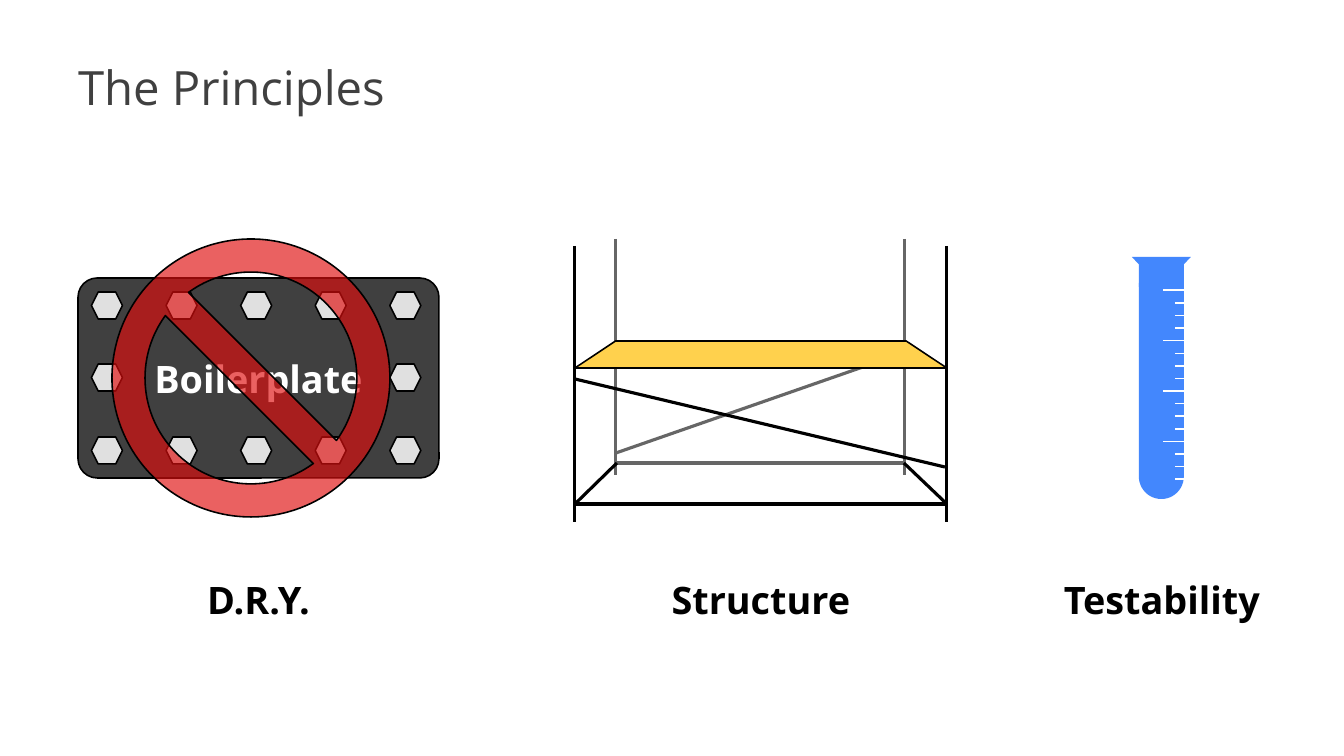
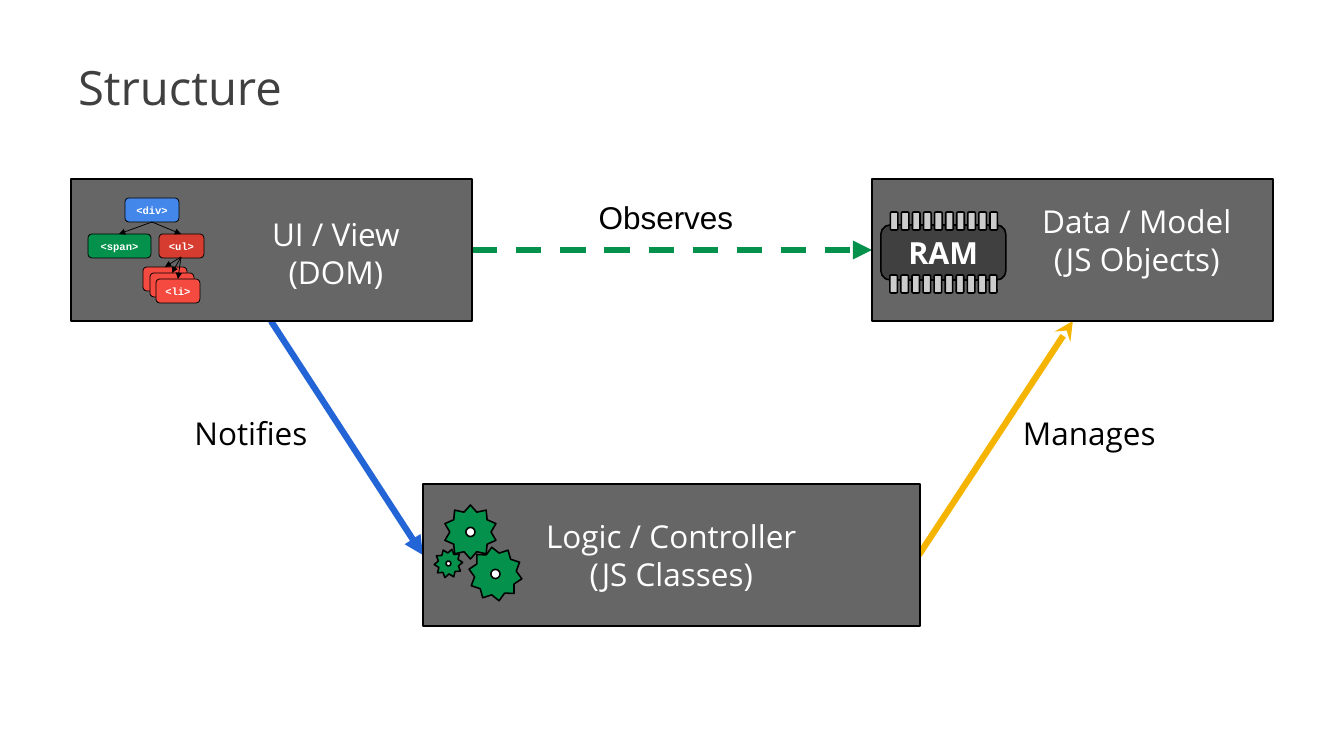
from pptx import Presentation
from pptx.dml.color import RGBColor
from pptx.enum.dml import MSO_LINE
from pptx.enum.shapes import MSO_CONNECTOR, MSO_SHAPE
from pptx.enum.text import MSO_ANCHOR, PP_ALIGN
from pptx.oxml.ns import qn
from pptx.util import Emu, Inches, Pt
from lxml.etree import SubElement

# Shared look
PX = 914400 / 75.6
SANS, MONO, PLAIN = "Open Sans", "Courier New", "Arial"
BLACK, WHITE, DARK, GRAY = "000000", "FFFFFF", "404040", "666666"
BOLT, PIN, BLUE, GREEN = "E0E0E0", "CCCCCC", "4387FD", "03914B"
RED, ORANGE, PLANK = "F44A3F", "F4B400", "FFD14D"
TITLE_BOX = (78, 14, 1186, 102)

# Slide 1 content: boxes are left, top, width, height
CAPTIONS = [("D.R.Y.", 78, 361), ("Structure", 575, 372), ("Testability", 1054, 216)]
PLATE = (78, 278, 361, 200)
BOLT_ROWS = [(292, range(5)), (364, (0, 4)), (437, range(5))]
BACK_BARS = [(906, 352, 616, 453), (616, 239, 616, 475), (905, 239, 905, 475)]
FRONT_BARS = [
    (575, 246, 575, 522, BLACK), (947, 246, 947, 522, BLACK),
    (947, 504, 575, 504, BLACK), (905, 463, 616, 463, GRAY),
    (947, 504, 904, 463, BLACK), (575, 504, 617, 463, BLACK),
    (945, 467, 575, 379, BLACK),
]
TICKS, TICK_TOP, TICK_STEP, TUBE_RIGHT = 16, 290.3, 12.6, 1184

# Slide 2 content
FLOWS = [  # label, font, label box, line ends, colour, arrowhead, dashed
    ("Manages", SANS, (990, 407, 199, 51), (919, 555, 1073, 321), ORANGE, "stealth", False),
    ("Notifies", SANS, (175, 407, 152, 51), (271, 321, 423, 555), "2364D7", "triangle", False),
    ("Observes", PLAIN, (515, 198, 302, 38), (472, 250, 872, 250), GREEN, "triangle", True),
]
ROLES = [  # lines, panel, text box
    (["Logic / Controller", "(JS Classes)"], (423, 484, 497, 142), (423, 484, 497, 142)),
    (["UI / View", "(DOM)"], (71, 179, 401, 142), (216, 192, 240, 122)),
    (["Data / Model", "(JS Objects)"], (872, 179, 401, 142), (1017, 189, 240, 102)),
]
GEARS = [  # box, tooth depth, rotation
    ((470, 547, 51, 54), 0.393, 352.2),
    ((445, 505, 51, 54), 0.385, 0),
    ((435, 549, 27, 29), 0.363, 14),
]
CHIP = (881, 225, 125, 55)
PINS, PIN_STEP = 10, 11.07
PIN_ROWS = [(890.5, 212), (890, 275)]
NODES = [  # tag, left, top, width, colour
    ("<div>", 125, 198, 54, "4387EB"), ("<span>", 88, 234, 63, GREEN),
    ("<ul>", 159, 234, 45, "D63D30"), ("", 143, 267, 44, RED),
    ("", 150, 273, 44, RED), ("<li>", 156, 279, 44, RED),
]
NODE_LINKS = [
    ((152, 222), [(119, 234), (181, 234)]),
    ((181, 257), [(165, 267), (172, 273), (178, 279)]),
]


def rgb(color):
    return RGBColor.from_string(color)


def emu(*lengths):
    return [Emu(round(v * PX)) for v in lengths]


def write(sp, lines, size, color, font=SANS, bold=False, align=PP_ALIGN.CENTER,
          anchor=MSO_ANCHOR.MIDDLE, inset=0.1, spacing=None):
    tf = sp.text_frame
    tf.word_wrap = True
    tf.vertical_anchor = anchor
    tf.margin_left = tf.margin_right = tf.margin_top = tf.margin_bottom = Inches(inset)
    for i, line in enumerate(lines):
        p = tf.add_paragraph() if i else tf.paragraphs[0]
        p.alignment = align
        if spacing:
            p.line_spacing = spacing
        r = p.add_run()
        r.text = line
        r.font.name, r.font.size, r.font.bold = font, Pt(size), bold
        r.font.color.rgb = rgb(color)


def label(parent, box, lines, size, color, **style):
    write(parent.shapes.add_textbox(*emu(*box)), lines, size, color, **style)


def shape(parent, kind, box, fill, line=1.5, adj=None, rotation=0, opacity=None):
    sp = parent.shapes.add_shape(kind, *emu(*box))
    sp.shadow.inherit = False
    sp.fill.solid()
    sp.fill.fore_color.rgb = rgb(fill)
    if opacity:
        clr = sp.fill._xPr.find(qn("a:solidFill"))[0]
        SubElement(clr, qn("a:alpha"), val=str(opacity * 1000))
    if line:
        sp.line.color.rgb = rgb(BLACK)
        sp.line.width = Pt(line)
    else:
        sp.line.fill.background()
    if adj is not None:
        sp.adjustments[0] = adj
    sp.rotation = rotation
    return sp


def line(parent, ends, color, width, arrow=None, dashed=False):
    c = parent.shapes.add_connector(MSO_CONNECTOR.STRAIGHT, *emu(*ends))
    c.line.color.rgb = rgb(color)
    c.line.width = Pt(width)
    if dashed:
        c.line.dash_style = MSO_LINE.DASH
    if arrow:
        SubElement(c.line._get_or_add_ln(), qn("a:tailEnd"), type=arrow)
    SubElement(c._element.spPr, qn("a:effectLst"))


def new_slide(title):
    s = prs.slides.add_slide(prs.slide_layouts[6])
    label(s, TITLE_BOX, [title], 45, DARK, align=PP_ALIGN.LEFT,
          anchor=MSO_ANCHOR.BOTTOM, inset=0, spacing=0.9)
    return s


def boilerplate(s):
    g = s.shapes.add_group_shape()
    plate = shape(g, MSO_SHAPE.ROUNDED_RECTANGLE, PLATE, DARK, adj=0.096)
    write(plate, ["Boilerplate"], 36, WHITE, bold=True)
    for y, columns in BOLT_ROWS:
        for i in columns:
            shape(g, MSO_SHAPE.HEXAGON, (91.5 + i * 74.6, y, 31, 27), BOLT, adj=0.25)
    shape(g, MSO_SHAPE.NO_SYMBOL, (112, 239, 278, 278), "E00D0D", adj=0.119, opacity=65)


def scaffold(s):
    g = s.shapes.add_group_shape()
    for ends in BACK_BARS:
        line(g, ends, GRAY, 3)
    shape(g, MSO_SHAPE.TRAPEZOID, (575, 341, 372, 27), PLANK, adj=1.506)
    for *ends, color in FRONT_BARS:
        line(g, ends, color, 3)


def test_tube(s):
    g = s.shapes.add_group_shape()
    shape(g, MSO_SHAPE.ROUNDED_RECTANGLE, (1139, 263, 45, 236), BLUE, line=0, adj=0.5)
    shape(g, MSO_SHAPE.TRAPEZOID, (1132, 257, 59, 11), BLUE, line=0, adj=0.957, rotation=180)
    shape(g, MSO_SHAPE.RECTANGLE, (1139, 261, 45, 26), BLUE, line=0)
    for i in range(TICKS):
        y = TICK_TOP + i * TICK_STEP
        length = 9 if i % 4 else 21
        line(g, (TUBE_RIGHT, y, TUBE_RIGHT - length, y), WHITE, 1.5)


def gears(s):
    g = s.shapes.add_group_shape()
    for box, depth, turn in GEARS:
        shape(g, MSO_SHAPE.STAR_10_POINT, box, GREEN, adj=depth, rotation=turn)
    for (x, y, w, h), _, _ in GEARS:
        d = 0.18 * w
        shape(g, MSO_SHAPE.OVAL, (x + (w - d) / 2, y + (h - d) / 2, d, d), WHITE)


def memory_chip(s):
    g = s.shapes.add_group_shape()
    chip = shape(g, MSO_SHAPE.ROUNDED_RECTANGLE, CHIP, DARK, adj=0.167)
    write(chip, ["RAM"], 29, WHITE, bold=True)
    for x, y in PIN_ROWS:
        for i in range(PINS):
            shape(g, MSO_SHAPE.ROUNDED_RECTANGLE, (x + i * PIN_STEP, y, 7.5, 18), PIN, adj=0.167)


def dom_tree(s):
    g = s.shapes.add_group_shape()
    for tag, x, y, w, color in NODES:
        node = shape(g, MSO_SHAPE.ROUNDED_RECTANGLE, (x, y, w, 24), color, line=0.75, adj=0.167)
        if tag:
            write(node, [tag], 10, WHITE, font=MONO, bold=True)
    for start, targets in NODE_LINKS:
        for end in targets:
            line(g, start + end, BLACK, 0.75, "triangle")


prs = Presentation()
prs.slide_width, prs.slide_height = Inches(17.78), Inches(10)

# Slide 1: three principles
s = new_slide("The Principles")
boilerplate(s)
scaffold(s)
test_tube(s)
for text, x, w in CAPTIONS:
    label(s, (x, 556, w, 86), [text], 36, BLACK, bold=True)

# Slide 2: view, model and controller
s = new_slide("Structure")
for text, font, box, ends, color, arrow, dashed in FLOWS:
    line(s, ends, color, 6, arrow, dashed)
    label(s, box, [text], 30, BLACK, font=font)
for lines, panel, box in ROLES:
    shape(s, MSO_SHAPE.RECTANGLE, panel, GRAY)
    label(s, box, lines, 30, WHITE)
gears(s)
memory_chip(s)
dom_tree(s)

prs.save("out.pptx")
